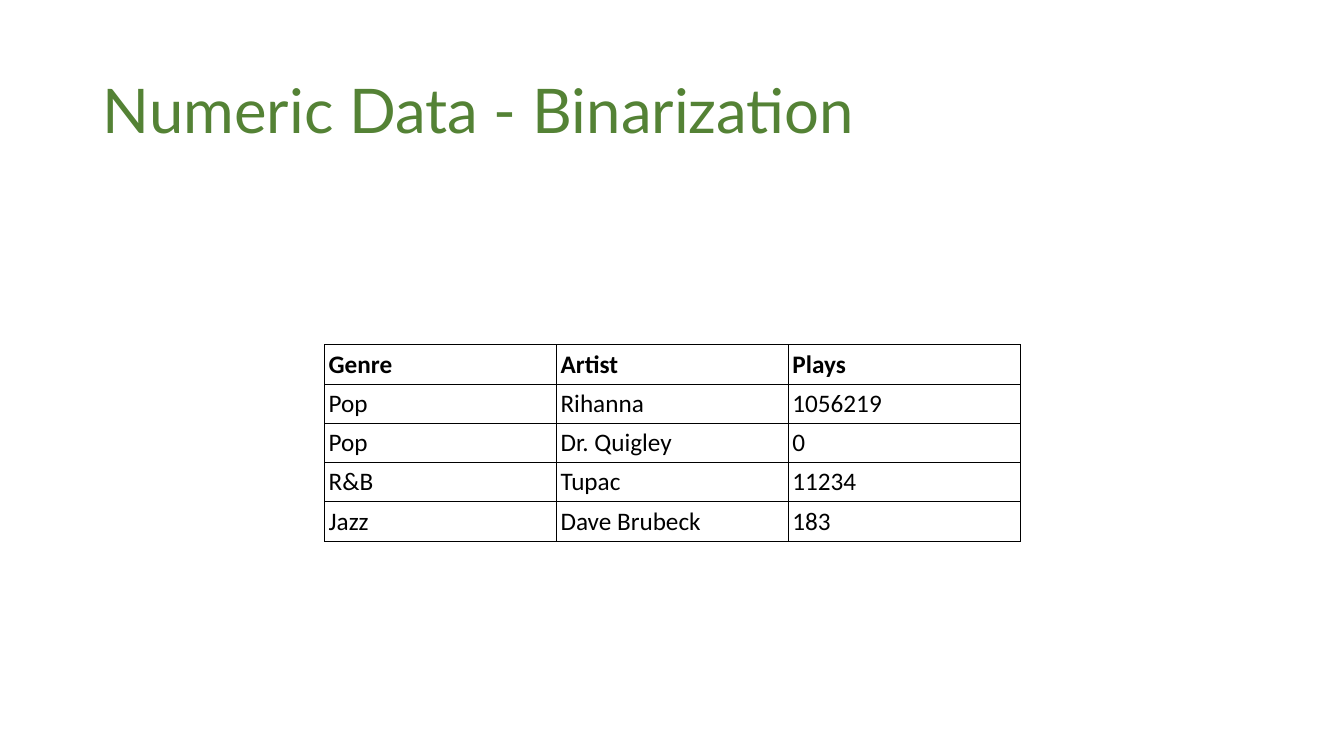
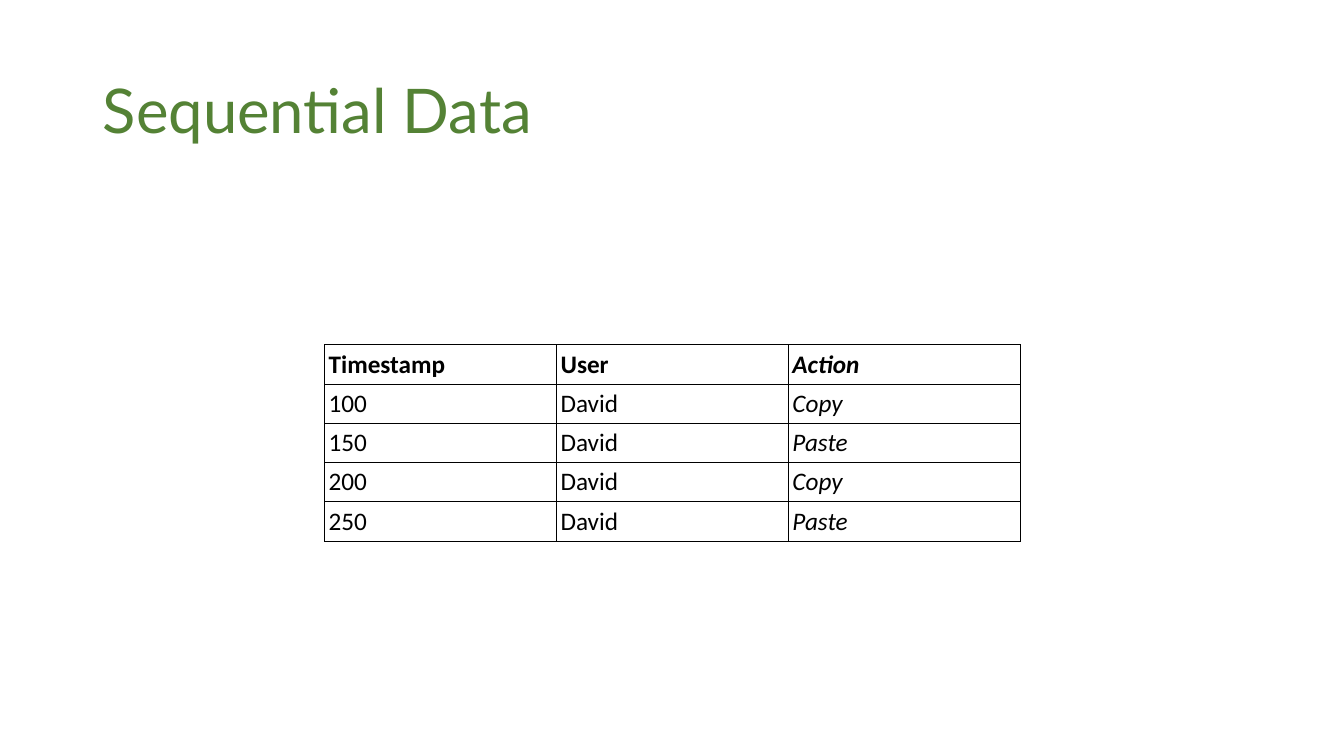
from lxml import etree
from pptx import Presentation
from pptx.dml.color import RGBColor
from pptx.enum.text import MSO_ANCHOR, MSO_AUTO_SIZE, PP_ALIGN
from pptx.oxml.ns import qn
from pptx.util import Inches, Pt

GREEN = RGBColor(0x54, 0x82, 0x35)
BLACK = RGBColor(0, 0, 0)
WHITE = RGBColor(255, 255, 255)
MIDDLE = MSO_ANCHOR.MIDDLE
LEFT = PP_ALIGN.LEFT
NO_FIT = MSO_AUTO_SIZE.NONE
TITLE_ONLY = 5

PLAYS = [
    ("Genre", "Artist", "Plays"),
    ("Pop", "Rihanna", "1056219"),
    ("Pop", "Dr. Quigley", "0"),
    ("R&B", "Tupac", "11234"),
    ("Jazz", "Dave Brubeck", "183"),
]
ACTIONS = [
    ("Timestamp", "User", "Action"),
    ("100", "David", "Copy"),
    ("150", "David", "Paste"),
    ("200", "David", "Copy"),
    ("250", "David", "Paste"),
]


class Deck:
    title_font, table_font = "Lato", "Calibri"
    col_width, row_height = Inches(2.3), Inches(0.39)
    inset = Inches(0.04)

    def __init__(self):
        self.prs = Presentation()
        self.prs.slide_width = Inches(13.33)
        self.prs.slide_height = Inches(7.5)
        self.slide = None

    def add_slide(self, title):
        layout = self.prs.slide_layouts[TITLE_ONLY]
        self.slide = self.prs.slides.add_slide(layout)
        self.set_title(title)

    def set_title(self, text):
        box = self.slide.shapes.title
        box.left, box.top = Inches(0.92), Inches(0.4)
        box.width, box.height = Inches(11.5), Inches(1.45)
        frame = box.text_frame
        frame.text = text
        frame.auto_size = NO_FIT
        frame.vertical_anchor = MIDDLE
        para = frame.paragraphs[0]
        para.alignment = LEFT
        para.line_spacing = 0.9
        self.style(para.font, self.title_font, 44, GREEN)

    def add_table(self, rows, slanted=()):
        """Draw a grid with a bold first row; slanted lists italic columns."""
        count = len(rows[0])
        table = self.slide.shapes.add_table(
            len(rows), count, Inches(3.22), Inches(3.42),
            self.col_width * count, self.row_height * len(rows)).table
        table.first_row = table.horz_banding = False
        for r, row in enumerate(rows):
            for c, text in enumerate(row):
                self.fill_cell(table.cell(r, c), text, r == 0, c in slanted)

    def fill_cell(self, cell, text, bold, italic):
        cell.margin_left = cell.margin_right = self.inset
        cell.margin_top = cell.margin_bottom = self.inset
        cell.vertical_anchor = MIDDLE
        self.add_border(cell)
        cell.fill.solid()
        cell.fill.fore_color.rgb = WHITE
        cell.text = text
        font = cell.text_frame.paragraphs[0].font
        self.style(font, self.table_font, 18, BLACK)
        font.bold, font.italic = bold, italic

    def add_border(self, cell):
        props = cell._tc.get_or_add_tcPr()
        for side in ("lnL", "lnR", "lnT", "lnB"):
            line = etree.SubElement(props, qn(f"a:{side}"), w=str(Pt(0.75)))
            fill = etree.SubElement(line, qn("a:solidFill"))
            etree.SubElement(fill, qn("a:srgbClr"), val=str(BLACK))

    def style(self, font, name, size, color):
        font.name, font.size = name, Pt(size)
        font.color.rgb = color


def main():
    deck = Deck()
    deck.add_slide("Numeric Data - Binarization")
    deck.add_table(PLAYS)
    deck.add_slide("Sequential Data")
    deck.add_table(ACTIONS, slanted=(2,))
    deck.prs.save("out.pptx")


if __name__ == "__main__":
    main()
